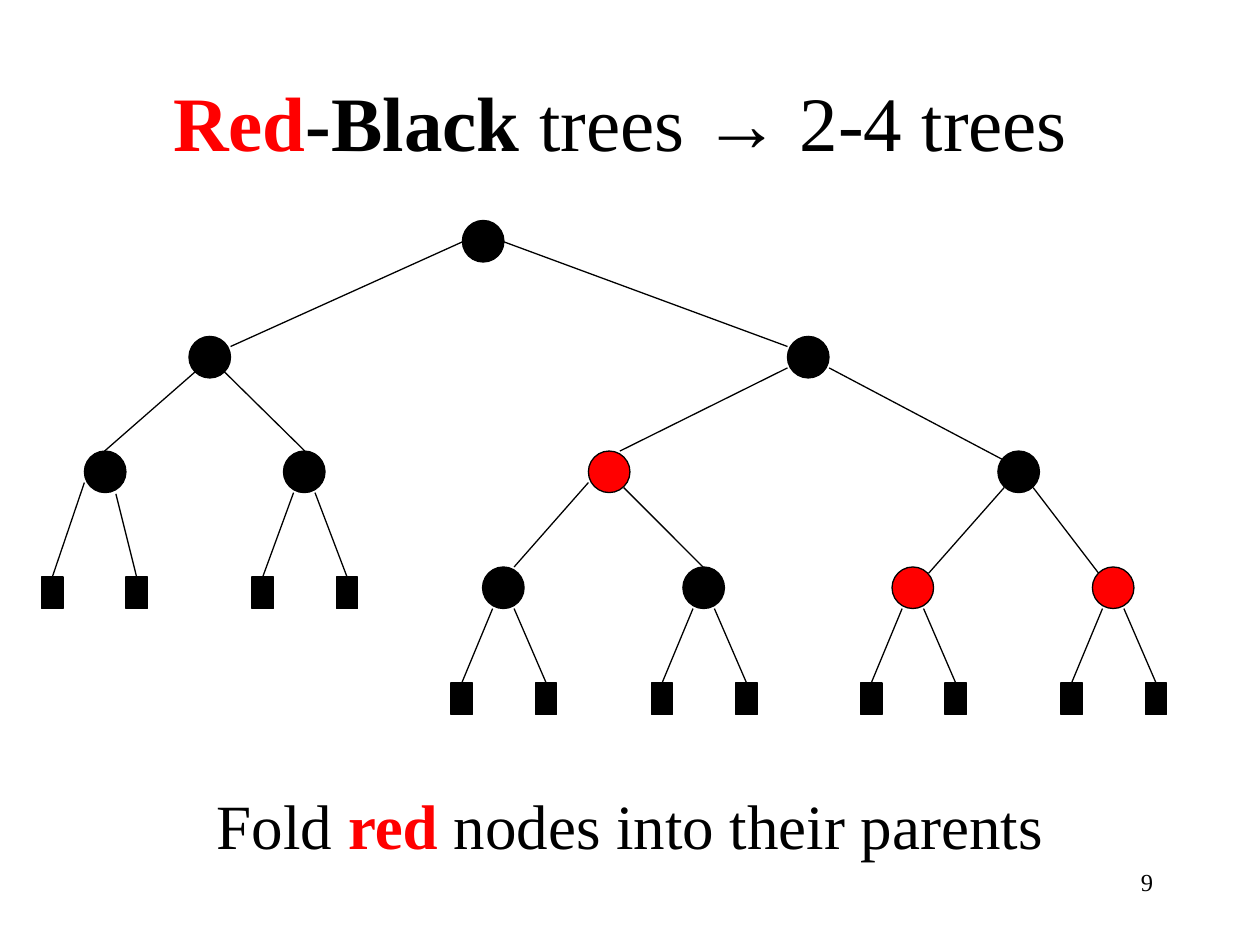
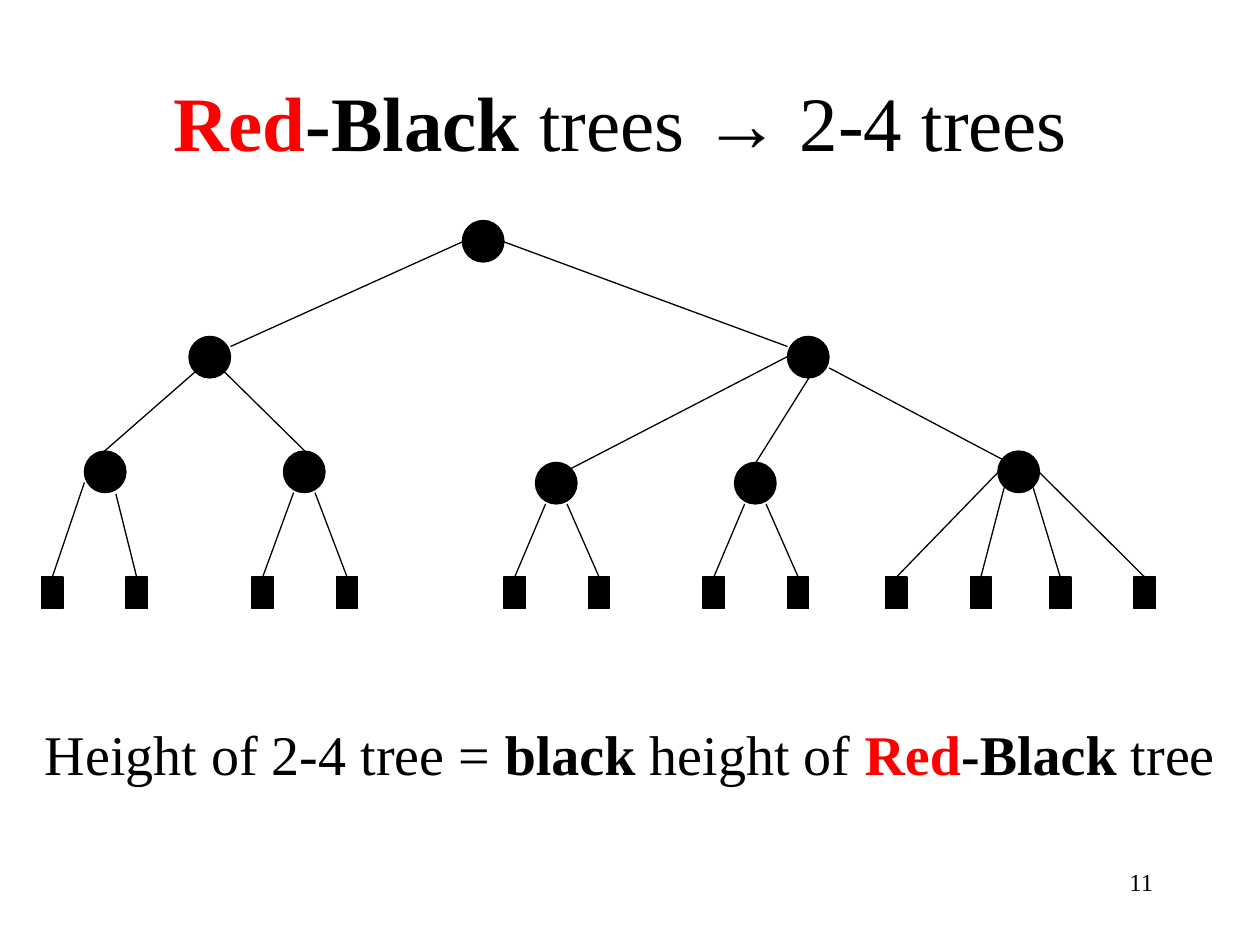
from lxml import etree
from pptx import Presentation
from pptx.dml.color import RGBColor
from pptx.enum import shapes, text
from pptx.oxml import ns
from pptx.util import Inches, Pt

FONT = "Times New Roman"
BLACK = "000000"
RED = "FF0000"
NODE_SIZE = 0.33
LEAF_WIDTH, LEAF_HEIGHT = 0.17, 0.25
TITLE = [("Red", RED, True), ("-Black", BLACK, True), (" trees → 2-4 trees ", BLACK, False)]

SHARED_NODES = [(3.67, 1.75), (1.5, 2.67), (6.25, 2.67), (7.92, 3.58), (0.67, 3.58), (2.25, 3.58)]
SHARED_EDGES = [
    ((3.67, 1.92), (1.83, 2.75)),
    ((4, 1.92), (6.25, 2.75)),
    ((6.58, 2.92), (8, 3.67)),
    ((1.55, 2.95), (0.83, 3.58)),
    ((1.78, 2.95), (2.42, 3.58)),
]
RED_BLACK_EDGES = [
    ((6.25, 2.92), (4.92, 3.58)),
    ((4.67, 3.83), (4.08, 4.5)),
    ((4.95, 3.87), (5.58, 4.5)),
    ((7.97, 3.87), (7.37, 4.55)),
    ((8.2, 3.87), (8.72, 4.55)),
]
FOLDED_EDGES = [((6.25, 2.83), (4.53, 3.72)), ((6.42, 3), (6, 3.67))]
FOUR_NODE_LEAVES = [
    (7.03, (7.92, 3.75)),
    (7.7, (7.97, 3.87)),
    (8.33, (8.2, 3.87)),
    (9, (8.25, 3.75)),
]


def color(value):
    return RGBColor.from_string(value)


def write_text(shape, runs, size, alignment, anchor=text.MSO_ANCHOR.MIDDLE):
    frame = shape.text_frame
    frame.word_wrap = True
    frame.auto_size = text.MSO_AUTO_SIZE.NONE
    frame.vertical_anchor = anchor
    paragraph = frame.paragraphs[0]
    paragraph.alignment = alignment
    paragraph.font.name = FONT
    paragraph.font.size = Pt(size)
    for words, run_color, bold in runs:
        run = paragraph.add_run()
        run.text = words
        run.font.color.rgb = color(run_color)
        run.font.bold = bold


def add_title(slide):
    title = slide.shapes.title
    title.left, title.top = Inches(0), Inches(0.33)
    title.width, title.height = Inches(10), Inches(1.25)
    write_text(title, TITLE, 44, text.PP_ALIGN.CENTER)


def add_caption(slide, top, height, size, runs):
    box = slide.shapes.add_textbox(Inches(0), Inches(top), Inches(10), Inches(height))
    write_text(box, runs, size, text.PP_ALIGN.CENTER)


def add_page_number(slide, number):
    box = slide.shapes.add_textbox(Inches(7.17), Inches(6.83), Inches(2.08), Inches(0.5))
    write_text(box, [(number, BLACK, False)], 14, text.PP_ALIGN.RIGHT, text.MSO_ANCHOR.TOP)


def add_solid(slide, kind, left, top, width, height, fill):
    shape = slide.shapes.add_shape(kind, Inches(left), Inches(top), Inches(width), Inches(height))
    shape.shadow.inherit = False
    shape.fill.solid()
    shape.fill.fore_color.rgb = color(fill)
    shape.line.color.rgb = color(BLACK)
    shape.line.width = Pt(0.75)
    return shape


def add_node(slide, left, top, fill=BLACK):
    add_solid(slide, shapes.MSO_SHAPE.OVAL, left, top, NODE_SIZE, NODE_SIZE, fill)


def add_edge(slide, start, end):
    edge = slide.shapes.add_connector(
        shapes.MSO_CONNECTOR.STRAIGHT, *(Inches(value) for value in (*start, *end))
    )
    edge.line.color.rgb = color(BLACK)
    edge.line.width = Pt(0.75)
    etree.SubElement(edge._element.spPr, ns.qn("a:effectLst"))
    return edge


def add_leaf(slide, left, top, start):
    leaf = add_solid(slide, shapes.MSO_SHAPE.RECTANGLE, left, top, LEAF_WIDTH, LEAF_HEIGHT, BLACK)
    edge = add_edge(slide, start, (left + LEAF_WIDTH / 2, top))
    edge.end_connect(leaf, 0)


def add_leaf_pair(slide, node_left, node_top, leaf_top):
    bottom = node_top + NODE_SIZE
    add_leaf(slide, node_left - 0.25, leaf_top, (node_left + 0.08, bottom))
    add_leaf(slide, node_left + 0.42, leaf_top, (node_left + 0.25, bottom))


def add_tree_slide(presentation, number, edges):
    slide = presentation.slides.add_slide(presentation.slide_layouts[5])
    add_title(slide)
    for left, top in SHARED_NODES:
        add_node(slide, left, top)
    for start, end in SHARED_EDGES + edges:
        add_edge(slide, start, end)
    add_leaf(slide, 0.33, 4.58, (0.67, 3.83))
    add_leaf(slide, 1, 4.58, (0.92, 3.92))
    add_leaf_pair(slide, 2.25, 3.58, 4.58)
    add_page_number(slide, number)
    return slide


def add_red_black_slide(presentation):
    slide = add_tree_slide(presentation, "9", RED_BLACK_EDGES)
    add_node(slide, 4.67, 3.58, RED)
    for left, fill in ((3.83, BLACK), (5.42, BLACK), (7.08, RED), (8.67, RED)):
        add_node(slide, left, 4.5, fill)
        add_leaf_pair(slide, left, 4.5, 5.42)
    add_caption(slide, 5.92, 1.25, 36, [
        ("Fold ", BLACK, False),
        ("red", RED, True),
        (" nodes into their parents", BLACK, False),
    ])


def add_folded_slide(presentation):
    slide = add_tree_slide(presentation, "11", FOLDED_EDGES)
    for left in (4.25, 5.83):
        add_node(slide, left, 3.67)
        add_leaf_pair(slide, left, 3.67, 4.58)
    for left, start in FOUR_NODE_LEAVES:
        add_leaf(slide, left, 4.58, start)
    add_caption(slide, 5.66, 0.64, 32, [
        ("Height of 2-4 tree = ", BLACK, False),
        ("black", BLACK, True),
        (" height of ", BLACK, False),
        ("Red", RED, True),
        ("-Black", BLACK, True),
        (" tree", BLACK, False),
    ])


def main():
    presentation = Presentation()
    presentation.slide_width = Inches(10)
    presentation.slide_height = Inches(7.5)
    add_red_black_slide(presentation)
    add_folded_slide(presentation)
    presentation.save("out.pptx")


if __name__ == "__main__":
    main()
